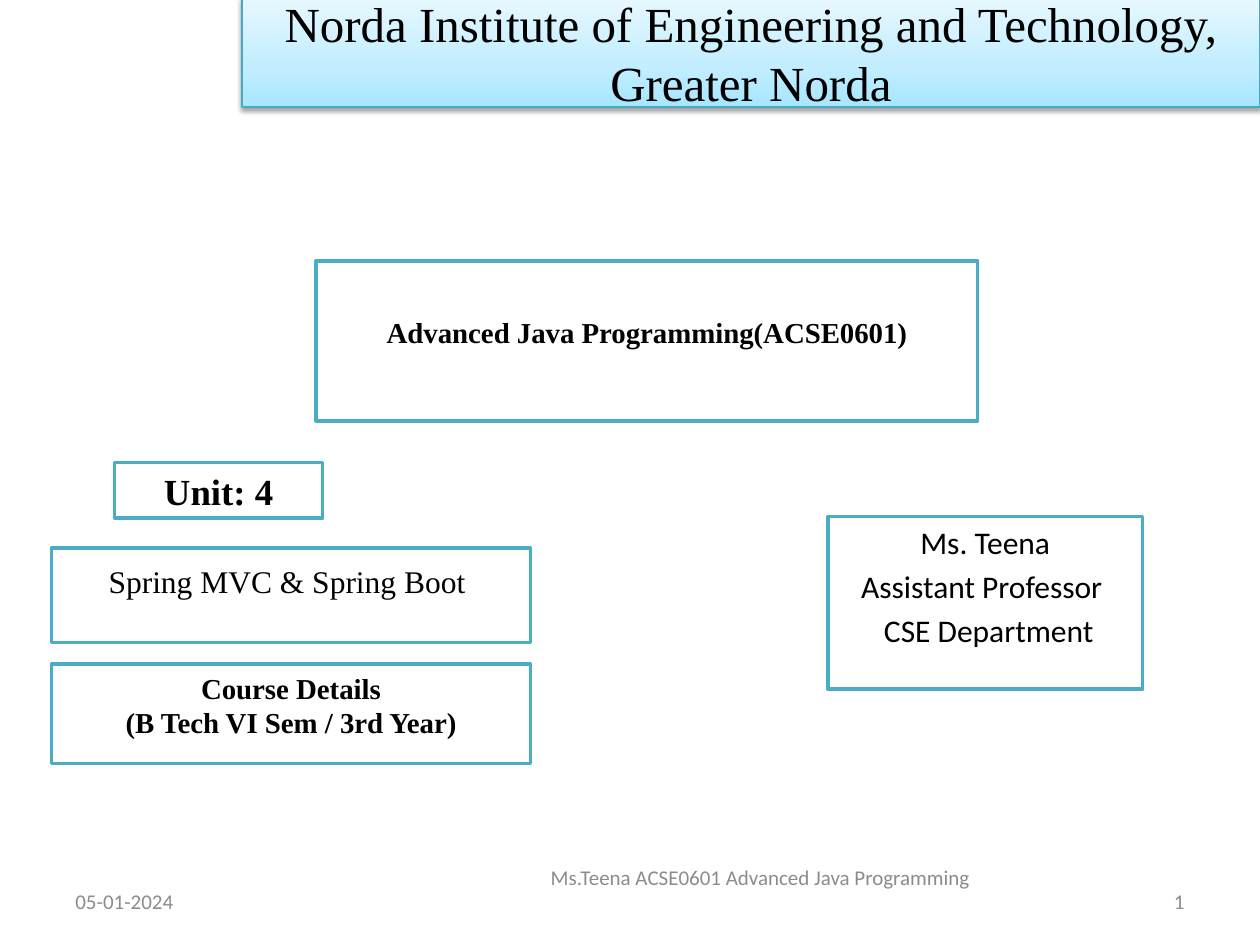
"""Build the opening slide of a unit on advanced Java programming."""
import copy

import lxml.etree
import pptx
import pptx.dml.color
import pptx.enum.shapes
import pptx.enum.text
import pptx.oxml.ns
import pptx.util

COLORS = {"text": "000000", "muted": "8C8C8C", "paper": "FFFFFF", "teal": "4BACC6",
          "title_line": "46AAC5", "low": "A7E6FF", "mid": "C1EDFF", "high": "E7F8FF"}
ALIGN = pptx.enum.text.PP_ALIGN
ANCHOR = pptx.enum.text.MSO_ANCHOR
SERIF, SANS = "Times New Roman", "Calibri"


class Deck:
    """Style and current slide, on a grid of 100 columns by 75 rows."""

    def __init__(self):
        """Open a 10 by 7.5 inch deck with one title-only slide."""
        self.prs = pptx.Presentation()
        self.prs.slide_width = pptx.util.Inches(10)
        self.prs.slide_height = pptx.util.Inches(7.5)
        self.s = self.prs.slides.add_slide(self.prs.slide_layouts[5])

    def place(self, col, row, cols, rows):
        """Turn grid units into lengths."""
        w, h = self.prs.slide_width / 100, self.prs.slide_height / 75
        return [int(v) for v in (col * w, row * h, cols * w, rows * h)]

    def color(self, name):
        """Look up a colour by name."""
        return pptx.dml.color.RGBColor.from_string(COLORS[name])

    def outline(self, sp, name, width):
        """Give a shape its line."""
        sp.line.color.rgb = self.color(name)
        sp.line.width = pptx.util.Pt(width)

    def set_text(self, sp, lines, size, font=SERIF, color="text", bold=False,
                 align=ALIGN.CENTER, gap=0, **frame):
        """Fill a shape with paragraphs of one format."""
        tf = sp.text_frame
        frame = {"word_wrap": True, "auto_size": pptx.enum.text.MSO_AUTO_SIZE.NONE,
                 "vertical_anchor": ANCHOR.TOP, **frame}
        for key, value in frame.items():
            setattr(tf, key, value)
        tf.text = "\n".join(lines)
        for i, p in enumerate(tf.paragraphs):
            p.alignment = align
            p.space_before = pptx.util.Pt(gap if i else 0)
            for r in p.runs:
                style = {"size": pptx.util.Pt(size), "name": font, "bold": bold}
                for key, value in style.items():
                    setattr(r.font, key, value)
                r.font.color.rgb = self.color(color)

    def title(self, text, at):
        """Format the title as a shaded band with a soft shadow."""
        sp = self.s.shapes.title
        sp.left, sp.top, sp.width, sp.height = self.place(*at)
        sp.fill.gradient()
        sp.fill.gradient_angle = 90
        props = sp._element.spPr
        stops = props.find(".//" + pptx.oxml.ns.qn("a:gsLst"))
        stops.append(copy.deepcopy(stops[-1]))
        ramp = (("low", 0), ("mid", 0.35), ("high", 1))
        for stop, (name, position) in zip(sp.fill.gradient_stops, ramp):
            stop.color.rgb = self.color(name)
            stop.position = position
        self.outline(sp, "title_line", 0.75)
        qn, sub = pptx.oxml.ns.qn, lxml.etree.SubElement
        shadow = sub(sub(props, qn("a:effectLst")), qn("a:outerShdw"),
                     blurRad=str(pptx.util.Pt(3.1)), dist=str(pptx.util.Pt(1.6)),
                     dir="5400000", rotWithShape="0")
        shade = sub(shadow, qn("a:srgbClr"), val=COLORS["text"])
        sub(shade, qn("a:alpha"), val="38000")
        self.set_text(sp, [text], 28, vertical_anchor=ANCHOR.MIDDLE)

    def box(self, lines, at, size, inset=0.05, **style):
        """Add a white box with a teal outline."""
        sp = self.s.shapes.add_shape(pptx.enum.shapes.MSO_SHAPE.RECTANGLE, *self.place(*at))
        sp.shadow.inherit = False
        sp.fill.solid()
        sp.fill.fore_color.rgb = self.color("paper")
        self.outline(sp, "teal", 2)
        self.set_text(sp, lines, size, margin_top=pptx.util.Inches(inset), **style)

    def footer(self, text, at, align):
        """Add a small grey line of footer text."""
        sp = self.s.shapes.add_textbox(*self.place(*at))
        self.set_text(sp, [text], 12, SANS, "muted", align=align, vertical_anchor=ANCHOR.MIDDLE)


def main():
    """Build and save the slide."""
    deck = Deck()
    deck.title("Norda Institute of Engineering and Technology, Greater Norda",
               (19.2, -0.2, 80.8, 8.7))
    deck.box(["Advanced Java Programming(ACSE0601)"], (25.1, 20.7, 52.5, 12.7), 16.5,
             inset=0.43, bold=True)
    deck.box(["Unit: 4"], (9.1, 36.7, 16.5, 4.4), 21, bold=True)
    deck.box(["Spring MVC & Spring Boot "], (4.1, 43.5, 38, 7.5), 18, inset=0.11)
    deck.box(["Ms. Teena", "Assistant Professor ", " CSE Department"],
             (65.7, 41, 25, 13.7), 18, font=SANS, gap=3.6)
    deck.box(["Course Details\v(B Tech VI Sem / 3rd Year)"], (4.1, 52.7, 38, 7.9), 16.5, bold=True)
    deck.footer("Ms.Teena ACSE0601 Advanced Java Programming", (34.1, 68.3, 52.5, 2.7),
                ALIGN.CENTER)
    deck.footer("05-01-2024", (5, 69.5, 23.3, 4), ALIGN.LEFT)
    deck.footer("1", (71.7, 69.5, 23.3, 4), ALIGN.RIGHT)
    deck.prs.save("out.pptx")


if __name__ == "__main__":
    main()
